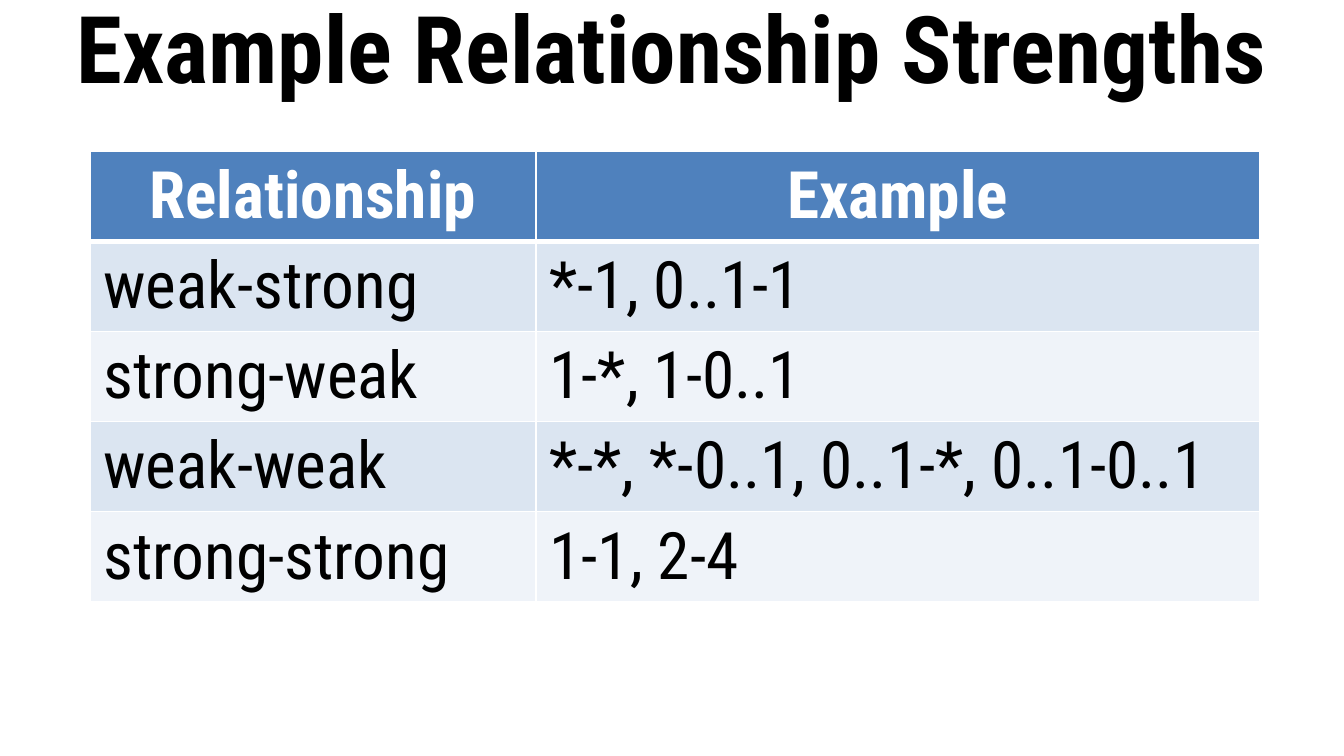
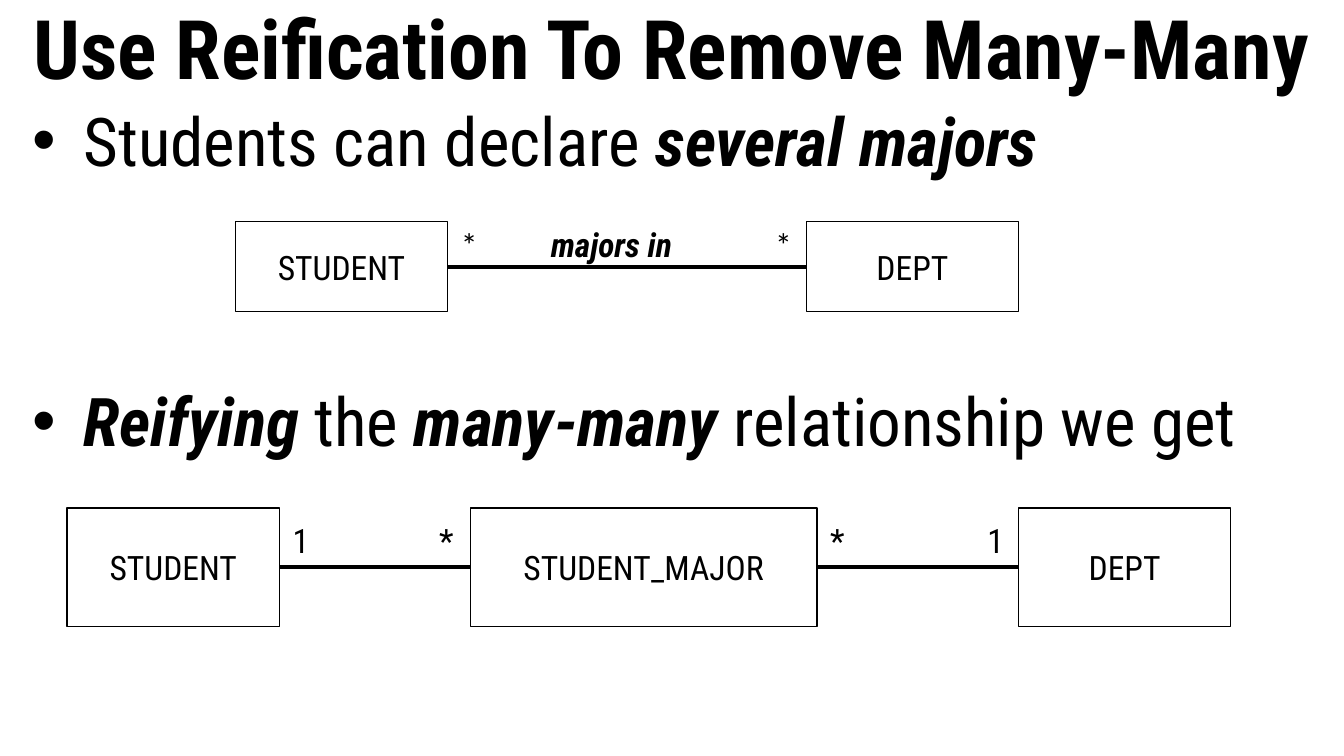
"""Build two slides on relationship strengths and reification."""
from itertools import pairwise

from lxml import etree
from pptx import Presentation
from pptx.dml.color import RGBColor
from pptx.enum.shapes import MSO_CONNECTOR, MSO_SHAPE
from pptx.enum.text import MSO_ANCHOR, MSO_AUTO_SIZE, PP_ALIGN
from pptx.oxml.ns import qn
from pptx.util import Cm, Pt

CENTER, LEFT = PP_ALIGN.CENTER, PP_ALIGN.LEFT
MIDDLE, TOP = MSO_ANCHOR.MIDDLE, MSO_ANCHOR.TOP
NO_FIT = MSO_AUTO_SIZE.NONE
RECTANGLE, STRAIGHT = MSO_SHAPE.RECTANGLE, MSO_CONNECTOR.STRAIGHT
LEFT_SIDE, RIGHT_SIDE = 1, 3

BLACK = RGBColor(0x00, 0x00, 0x00)
WHITE = RGBColor(0xFF, 0xFF, 0xFF)
HEADER_BLUE = RGBColor(0x4F, 0x81, 0xBD)
ROW_BANDS = (RGBColor(0xDB, 0xE5, 0xF1), RGBColor(0xEF, 0xF3, 0xF9))
FONT = "Roboto Condensed"

SLIDE_WIDTH, SLIDE_HEIGHT = 25.4, 14.29
TITLE_HEIGHT = 1.75

STRENGTHS_TITLE = "Example Relationship Strengths"
STRENGTHS = [
    ("Relationship", "Example"),
    ("weak-strong", "*-1, 0..1-1"),
    ("strong-weak", "1-*, 1-0..1"),
    ("weak-weak", "*-*, *-0..1, 0..1-*, 0..1-0..1"),
    ("strong-strong", "1-1, 2-4"),
]
COLUMN_WIDTHS = (8.43, 13.67)
ROW_HEIGHT = 1.65

REIFICATION_TITLE = "Use Reification To Remove Many-Many"
BULLETS = [
    (0, [("Students can declare ", False), ("several majors", True)]),
    (107, [("Reifying", True), (" the ", False), ("many-many", True),
           (" relationship we get", False)]),
]
DIAGRAMS = [
    dict(top=4.19, height=1.7, label_top=4.11, label_height=1.19, label_font="Calibri",
         entities=[("STUDENT", 4.45, 4.01), ("DEPT", 15.24, 4.01)],
         multiplicities=[("*", "*")]),
    dict(top=9.6, height=2.24, label_top=9.7, label_height=1.55, label_font=FONT,
         entities=[("STUDENT", 1.27, 4.01), ("STUDENT_MAJOR", 8.89, 6.55),
                   ("DEPT", 19.25, 4.01)],
         multiplicities=[("1", "*"), ("*", "1")]),
]
LABEL_WIDTH = 0.84
RELATIONSHIP = ("majors in", 10.16, 4.11, 2.97, 1.19)


def write(paragraph, text, size=18, bold=False, italic=False, color=BLACK,
          font=FONT, align=LEFT):
    paragraph.alignment = align
    run = paragraph.add_run()
    run.text = text
    run.font.name = font
    run.font.size = Pt(size)
    run.font.bold = bold
    run.font.italic = italic
    run.font.color.rgb = color


def add_titled_slide(deck, title, size):
    slide = deck.slides.add_slide(deck.slide_layouts[5])
    heading = slide.shapes.title
    heading.left, heading.top = Cm(0), Cm(0)
    heading.width, heading.height = Cm(SLIDE_WIDTH), Cm(TITLE_HEIGHT)
    frame = heading.text_frame
    frame.auto_size = NO_FIT
    frame.word_wrap = True
    frame.vertical_anchor = MIDDLE
    write(frame.paragraphs[0], title, size=size, bold=True, align=CENTER)
    return slide


def add_text_frame(slide, left, top, width, height):
    box = slide.shapes.add_textbox(Cm(left), Cm(top), Cm(width), Cm(height))
    frame = box.text_frame
    frame.word_wrap = True
    frame.vertical_anchor = TOP
    return frame


def border_cell(cell, is_header):
    properties = cell._tc.get_or_add_tcPr()
    for position, side in enumerate(("lnL", "lnR", "lnT", "lnB")):
        width = 3 if is_header and side == "lnB" else 1
        edge = etree.Element(qn(f"a:{side}"), w=str(Pt(width)))
        fill = etree.SubElement(edge, qn("a:solidFill"))
        etree.SubElement(fill, qn("a:srgbClr"), val=str(WHITE))
        properties.insert(position, edge)


def add_strengths_table(slide):
    table = slide.shapes.add_table(
        len(STRENGTHS), len(COLUMN_WIDTHS), Cm(1.7), Cm(2.86),
        Cm(sum(COLUMN_WIDTHS)), Cm(ROW_HEIGHT * len(STRENGTHS))).table
    for column, width in zip(table.columns, COLUMN_WIDTHS):
        column.width = Cm(width)
    for row, texts in enumerate(STRENGTHS):
        is_header = row == 0
        for column, text in enumerate(texts):
            cell = table.cell(row, column)
            cell.fill.solid()
            cell.fill.fore_color.rgb = HEADER_BLUE if is_header else ROW_BANDS[(row - 1) % 2]
            border_cell(cell, is_header)
            write(cell.text_frame.paragraphs[0], text, size=35, bold=is_header,
                  color=WHITE if is_header else BLACK,
                  align=CENTER if is_header else LEFT)


def add_bullets(slide):
    frame = add_text_frame(slide, 0.36, TITLE_HEIGHT, 25.04, 12.54)
    for index, (space_before, phrases) in enumerate(BULLETS):
        paragraph = frame.add_paragraph() if index else frame.paragraphs[0]
        paragraph.space_before = Pt(space_before)
        properties = paragraph._p.get_or_add_pPr()
        properties.set("marL", str(Cm(0.97)))
        properties.set("indent", str(-Cm(0.97)))
        etree.SubElement(properties, qn("a:buFont"), typeface="Arial")
        etree.SubElement(properties, qn("a:buChar"), char="•")
        for text, emphasised in phrases:
            write(paragraph, text, size=36, bold=emphasised, italic=emphasised)


def add_entity(slide, name, left, top, width, height):
    entity = slide.shapes.add_shape(RECTANGLE, Cm(left), Cm(top), Cm(width), Cm(height))
    entity.shadow.inherit = False
    entity.fill.solid()
    entity.fill.fore_color.rgb = WHITE
    entity.line.color.rgb = BLACK
    entity.line.width = Pt(0.75)
    entity.text_frame.vertical_anchor = MIDDLE
    write(entity.text_frame.paragraphs[0], name, align=CENTER)
    return entity


def join_entities(slide, source, target):
    link = slide.shapes.add_connector(STRAIGHT, 0, 0, 0, 0)
    link.begin_connect(source, RIGHT_SIDE)
    link.end_connect(target, LEFT_SIDE)
    link.line.color.rgb = BLACK
    link.line.width = Pt(2)
    etree.SubElement(link._element.spPr, qn("a:effectLst"))


def add_diagram(slide, top, height, label_top, label_height, label_font,
                entities, multiplicities):
    boxes = [add_entity(slide, name, left, top, width, height)
             for name, left, width in entities]
    for source, target in pairwise(boxes):
        join_entities(slide, source, target)
    for (source, target), ends in zip(pairwise(entities), multiplicities):
        label_lefts = (source[1] + source[2], target[1] - LABEL_WIDTH)
        for left, text in zip(label_lefts, ends):
            frame = add_text_frame(slide, left, label_top, LABEL_WIDTH, label_height)
            write(frame.paragraphs[0], text, font=label_font)


def main():
    deck = Presentation()
    deck.slide_width, deck.slide_height = Cm(SLIDE_WIDTH), Cm(SLIDE_HEIGHT)

    add_strengths_table(add_titled_slide(deck, STRENGTHS_TITLE, 50))

    reification = add_titled_slide(deck, REIFICATION_TITLE, 44)
    add_bullets(reification)
    for diagram in DIAGRAMS:
        add_diagram(reification, **diagram)
    name, *place = RELATIONSHIP
    write(add_text_frame(reification, *place).paragraphs[0], name, bold=True, italic=True)

    deck.save("out.pptx")


if __name__ == "__main__":
    main()
